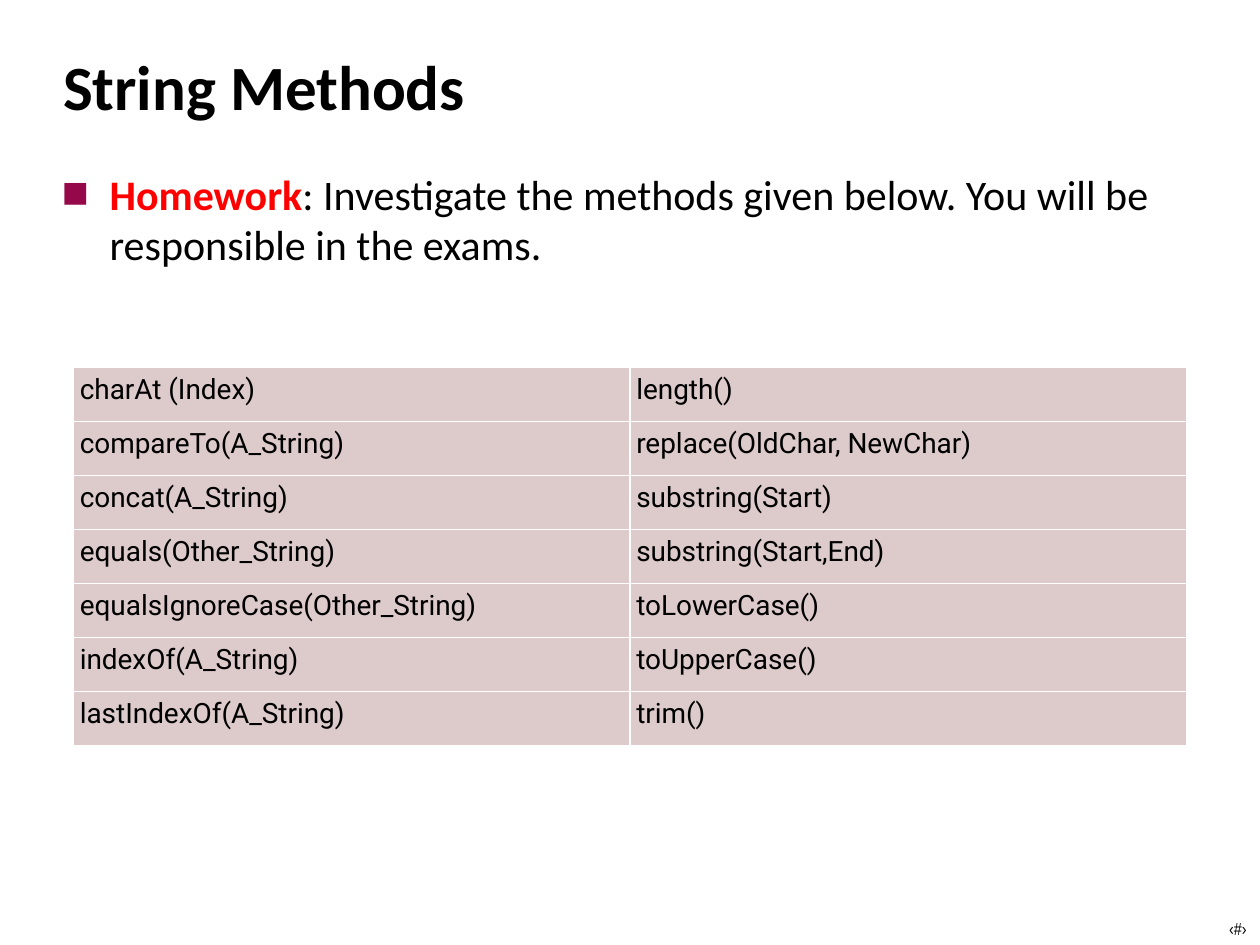
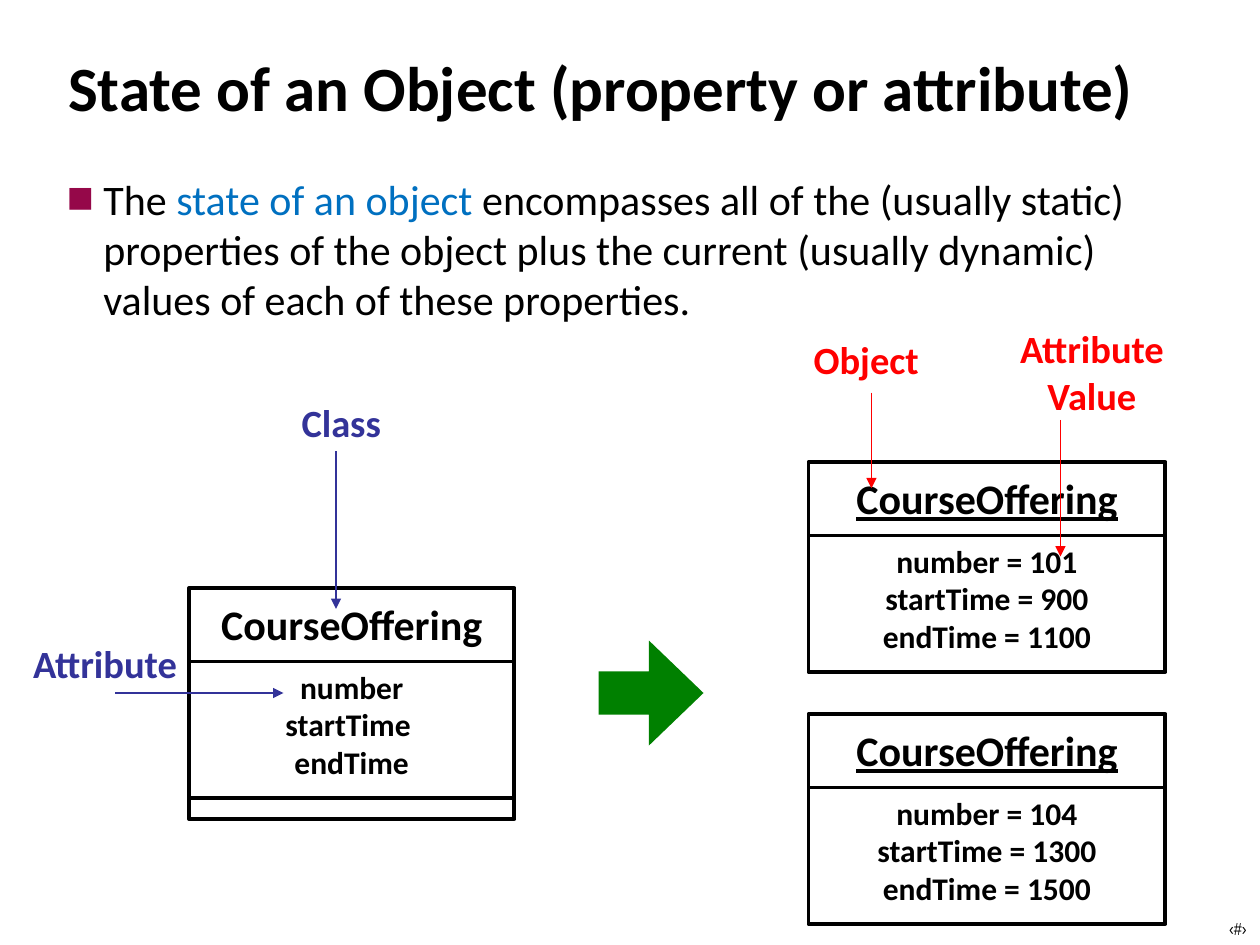
import dataclasses
import typing

import lxml.etree
import pptx
import pptx.dml.color
import pptx.enum.shapes
import pptx.enum.text
import pptx.oxml.ns
import pptx.util

ALIGN = pptx.enum.text.PP_ALIGN
ANCHOR = pptx.enum.text.MSO_ANCHOR
AUTO_SIZE = pptx.enum.text.MSO_AUTO_SIZE
SHAPE = pptx.enum.shapes.MSO_SHAPE
qn = pptx.oxml.ns.qn

# Grid: 120 columns by 90 rows on a 10 by 7.5 inch slide
COLUMNS, ROWS = 120, 90
WIDTH, HEIGHT = pptx.util.Inches(10), pptx.util.Inches(7.5)

# Shared colours
BLACK, WHITE, RED = "000000", "FFFFFF", "FF0000"
BLUE, INDIGO, GREEN = "0070C0", "333399", "008000"
BULLET, CELL = "950849", "DDCACA"


class Box(typing.NamedTuple):
    """Place on the slide in grid columns and rows."""
    left: float
    top: float
    width: float
    height: float

    def lengths(self) -> tuple[int, int, int, int]:
        return (across(self.left), down(self.top),
                across(self.width), down(self.height))


class Run(typing.NamedTuple):
    text: str
    color: str = BLACK
    bold: bool = False


@dataclasses.dataclass(frozen=True)
class Style:
    size: float
    color: str = BLACK
    bold: bool = True
    underline: bool = False
    name: str = "Calibri"


@dataclasses.dataclass(frozen=True)
class Card:
    """A class or object box: a name above a divider, fields below it."""
    box: Box
    fields: tuple[str, ...]
    is_object: bool = True


@dataclasses.dataclass(frozen=True)
class Callout:
    """A label with its arrow."""
    text: str
    box: Box
    start: tuple[float, float]
    end: tuple[float, float]
    color: str


TITLE_STYLE = Style(36)
BODY_STYLE = Style(24, bold=False)
FIELD_STYLE = Style(18)
CELL_STYLE = Style(16, bold=False, name="Roboto")
NUMBER_STYLE = Style(10, bold=False, name="Arial Narrow")

METHODS = [
    ("charAt (Index)", "length()"),
    ("compareTo(A_String)", "replace(OldChar, NewChar)"),
    ("concat(A_String)", "substring(Start)"),
    ("equals(Other_String)", "substring(Start,End)"),
    ("equalsIgnoreCase(Other_String)", "toLowerCase()"),
    ("indexOf(A_String)", "toUpperCase()"),
    ("lastIndexOf(A_String)", "trim()"),
]

CLASS_CARD = Card(Box(18, 56, 31, 20), ("number", "startTime ", "endTime"), False)
OBJECT_CARDS = [
    Card(Box(77, 44, 34, 20), ("number = 101", "startTime = 900", "endTime = 1100")),
    Card(Box(77, 68, 34, 20), ("number = 104", "startTime = 1300", "endTime = 1500")),
]
CALLOUTS = [
    Callout("Class", Box(17, 37.4, 31, 5.6), (32, 43), (32, 58), INDIGO),
    Callout("Attribute", Box(1, 60.4, 18, 5.6), (11, 66), (27, 66), INDIGO),
    Callout("Object", Box(67, 31.4, 31, 5.6), (83, 37.4), (83, 46.5), RED),
    Callout("Attribute Value", Box(92.5, 30.4, 23, 10), (101, 40), (101, 53), RED),
]


# Helpers
def across(columns: float) -> int:
    return round(WIDTH * columns / COLUMNS)


def down(rows: float) -> int:
    return round(HEIGHT * rows / ROWS)


def rgb(color: str) -> pptx.dml.color.RGBColor:
    return pptx.dml.color.RGBColor.from_string(color)


def set_font(paragraph, style: Style) -> None:
    for font in (paragraph.font, *(run.font for run in paragraph.runs)):
        font.name = style.name
        font.size = pptx.util.Pt(style.size)
        font.bold = style.bold
        font.underline = style.underline
        font.color.rgb = rgb(style.color)


def set_insets(frame, inset: float) -> None:
    frame.margin_left = frame.margin_right = pptx.util.Inches(inset)
    frame.margin_top = frame.margin_bottom = pptx.util.Inches(inset)


def add_text(shapes, box: Box, lines: typing.Sequence[str], style: Style,
             inset: float | None = None, wrap: bool = True) -> None:
    frame = shapes.add_textbox(*box.lengths()).text_frame
    frame.word_wrap = wrap
    frame.auto_size = AUTO_SIZE.SHAPE_TO_FIT_TEXT
    if inset is not None:
        set_insets(frame, inset)
    frame.text = "\n".join(lines)
    for paragraph in frame.paragraphs:
        paragraph.alignment = ALIGN.CENTER
        set_font(paragraph, style)


def add_line(shapes, start: tuple[float, float], end: tuple[float, float],
             color: str, width: float, arrow: bool = False) -> None:
    connector = shapes.add_connector(
        pptx.enum.shapes.MSO_CONNECTOR.STRAIGHT,
        across(start[0]), down(start[1]), across(end[0]), down(end[1]))
    connector.line.color.rgb = rgb(color)
    connector.line.width = pptx.util.Pt(width)
    properties = connector._element.spPr
    if arrow:
        lxml.etree.SubElement(properties.find(qn("a:ln")), qn("a:tailEnd"), type="triangle")
    lxml.etree.SubElement(properties, qn("a:effectLst"))


def add_outline(shapes, box: Box) -> None:
    shape = shapes.add_shape(SHAPE.RECTANGLE, *box.lengths())
    shape.shadow.inherit = False
    shape.fill.background()
    shape.line.color.rgb = rgb(BLACK)
    shape.line.width = pptx.util.Pt(2.25)


def add_card(shapes, card: Card) -> None:
    left, top, width, height = card.box
    name_width, divider = 26, top + 7
    add_outline(shapes, card.box)
    add_text(shapes, Box(left + (width - name_width) / 2, top + 1, name_width, 4.8),
             ["CourseOffering"], Style(24, underline=card.is_object), inset=0)
    add_line(shapes, (left, divider), (left + width, divider), BLACK, 2.25)
    add_text(shapes, Box(left, divider, width, 12), card.fields, FIELD_STYLE)


def add_callout(shapes, callout: Callout) -> None:
    add_text(shapes, callout.box, [callout.text], Style(22, callout.color))
    add_line(shapes, callout.start, callout.end, callout.color, 1, arrow=True)


def place(placeholder, box: Box, inset: float):
    placeholder.left, placeholder.top, placeholder.width, placeholder.height = box.lengths()
    frame = placeholder.text_frame
    frame.auto_size = AUTO_SIZE.NONE
    frame.word_wrap = True
    set_insets(frame, inset)
    return frame


def set_bullet(paragraph, indent: float) -> None:
    properties = paragraph._p.get_or_add_pPr()
    properties.set("marL", str(pptx.util.Inches(indent)))
    properties.set("indent", str(-pptx.util.Inches(indent)))
    color = lxml.etree.Element(qn("a:buClr"))
    lxml.etree.SubElement(color, qn("a:srgbClr"), val=BULLET)
    size = lxml.etree.Element(qn("a:buSzPct"), val="60000")
    character = lxml.etree.Element(qn("a:buChar"), char="⬛")
    spacing = properties.find(qn("a:spcBef"))
    for element in (character, size, color):
        spacing.addnext(element)


def add_slide(presentation, title: str, title_box: Box, runs: list[Run],
              body_box: Box, inset: float, indent: float):
    slide = presentation.slides.add_slide(presentation.slide_layouts[1])

    # Title
    frame = place(slide.shapes.title, title_box, inset)
    frame.text = title
    frame.vertical_anchor = ANCHOR.MIDDLE
    frame.paragraphs[0].alignment = ALIGN.LEFT
    set_font(frame.paragraphs[0], TITLE_STYLE)

    # Bulleted body
    frame = place(slide.placeholders[1], body_box, inset)
    frame.vertical_anchor = ANCHOR.TOP
    paragraph = frame.paragraphs[0]
    paragraph.space_before = pptx.util.Pt(6)
    for part in runs:
        paragraph.add_run().text = part.text
    set_font(paragraph, BODY_STYLE)
    for run, part in zip(paragraph.runs, runs):
        run.font.color.rgb = rgb(part.color)
        run.font.bold = part.bold
    set_bullet(paragraph, indent)

    # Slide number mark
    add_text(slide.shapes, Box(116.4, 86.8, 3, 3), ["‹#›"], NUMBER_STYLE, 0.05, wrap=False)
    return slide


def set_borders(cell, color: str) -> None:
    properties = cell._tc.get_or_add_tcPr()
    for position, side in enumerate(("a:lnL", "a:lnR", "a:lnT", "a:lnB")):
        line = lxml.etree.Element(qn(side), w=str(pptx.util.Pt(1)))
        fill = lxml.etree.SubElement(line, qn("a:solidFill"))
        lxml.etree.SubElement(fill, qn("a:srgbClr"), val=color)
        properties.insert(position, line)


def add_method_table(shapes, box: Box) -> None:
    table = shapes.add_table(len(METHODS), 2, *box.lengths()).table
    table.first_row = table.horz_banding = False
    for row, names in enumerate(METHODS):
        for column, name in enumerate(names):
            cell = table.cell(row, column)
            cell.text = name
            set_insets(cell, 0.05)
            set_font(cell.text_frame.paragraphs[0], CELL_STYLE)
            cell.fill.solid()
            cell.fill.fore_color.rgb = rgb(CELL)
            set_borders(cell, WHITE)


# Slides
def build_string_methods(presentation) -> None:
    slide = add_slide(
        presentation, "String Methods", Box(6, 1, 109, 14.3),
        [Run("Homework", RED, True),
         Run(": Investigate the methods given below. You will be responsible in the exams.")],
        Box(6, 16, 109, 71.3), inset=0, indent=0.37)
    add_method_table(slide.shapes, Box(7, 35, 106, 36))


def build_object_state(presentation) -> None:
    slide = add_slide(
        presentation, "State of an Object (property or attribute)", Box(6, 0.4, 109, 15.7),
        [Run("The "), Run("state of an object ", BLUE),
         Run("encompasses all of the (usually static) properties of the object plus "
             "the current (usually dynamic) values of each of these properties.")],
        Box(6, 16, 109, 74), inset=0.04, indent=0.28)
    shapes = slide.shapes

    # Arrow from the class to its objects
    arrow = shapes.add_shape(SHAPE.RIGHT_ARROW, *Box(57, 61, 10, 10).lengths())
    arrow.shadow.inherit = False
    arrow.adjustments[0], arrow.adjustments[1] = 0.41, 0.52
    arrow.fill.solid()
    arrow.fill.fore_color.rgb = rgb(GREEN)
    arrow.line.fill.background()

    # Objects, then the class with its empty lower compartment
    for card in OBJECT_CARDS:
        add_card(shapes, card)
    add_card(shapes.add_group_shape().shapes, CLASS_CARD)
    left, top, width, height = CLASS_CARD.box
    add_outline(shapes, Box(left, top + height, width, 2))

    for callout in CALLOUTS:
        add_callout(shapes, callout)


def main() -> None:
    presentation = pptx.Presentation()
    presentation.slide_width, presentation.slide_height = WIDTH, HEIGHT
    build_string_methods(presentation)
    build_object_state(presentation)
    presentation.save("out.pptx")


if __name__ == "__main__":
    main()
